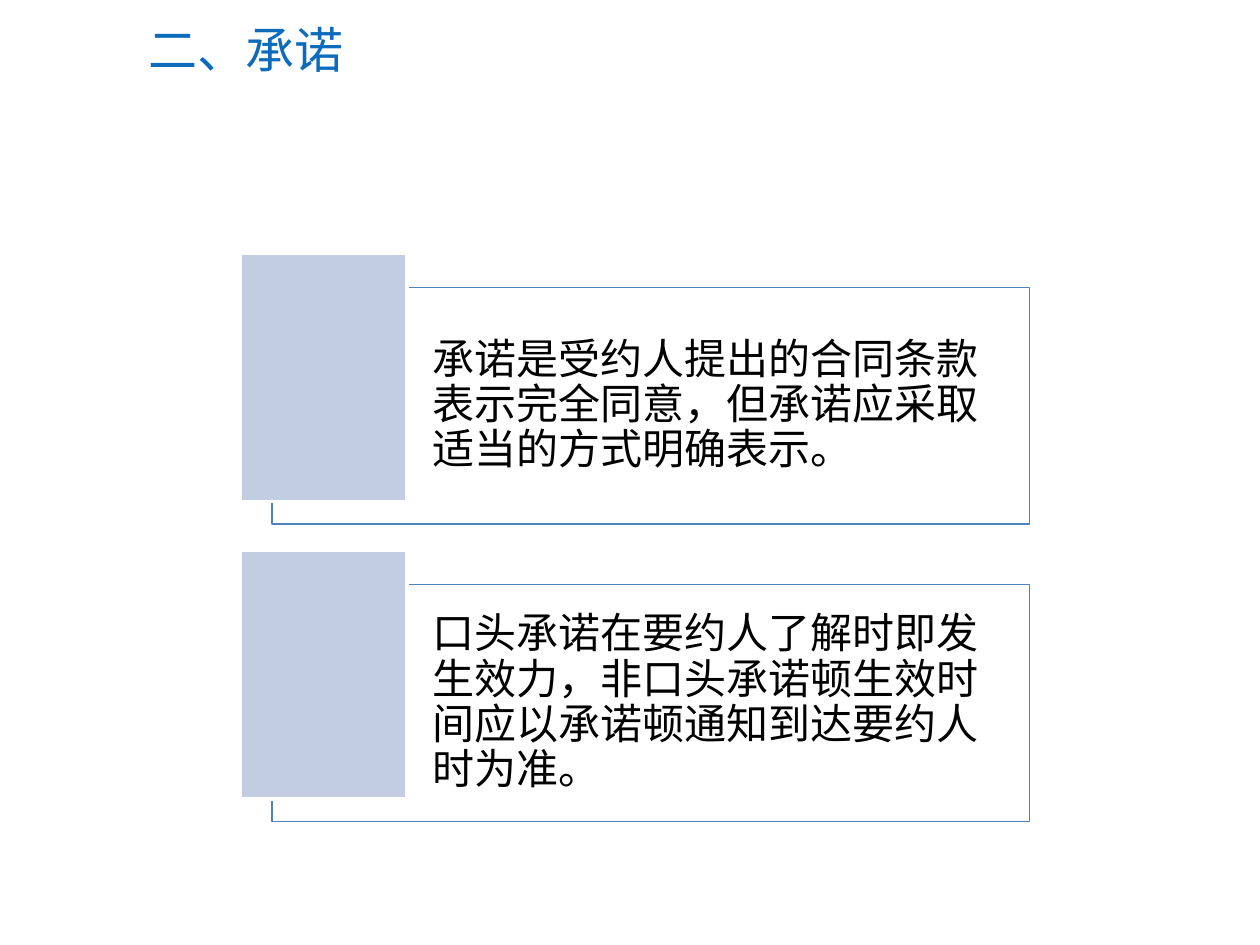
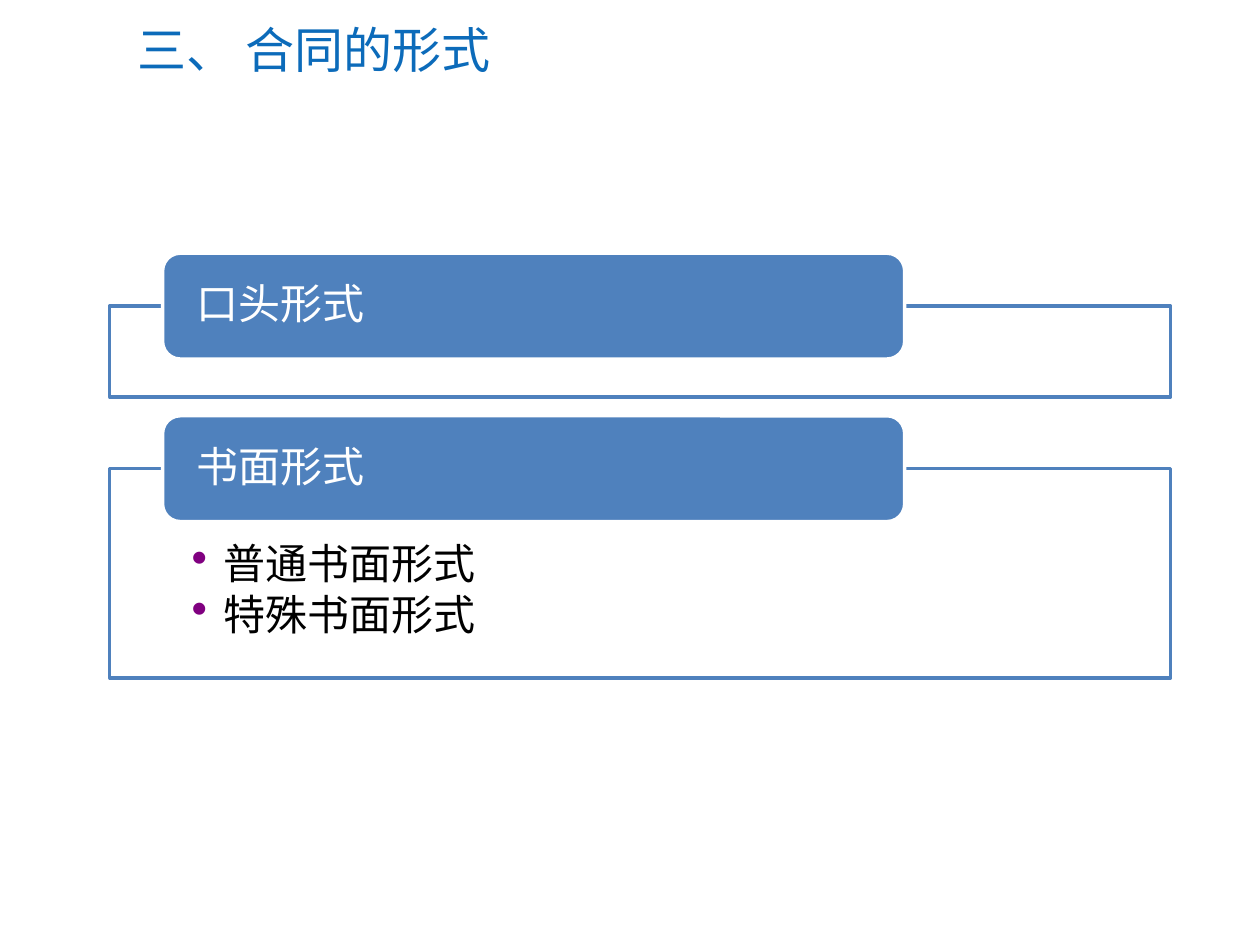
from lxml.etree import SubElement
from pptx import Presentation
from pptx.dml.color import RGBColor
from pptx.enum.shapes import MSO_SHAPE as Shape
from pptx.enum.text import MSO_ANCHOR as Anchor, PP_ALIGN as Align
from pptx.oxml.ns import qn
from pptx.util import Inches, Pt

ACCEPTANCE_TITLE = " 二、承诺"
ACCEPTANCE_RULES = [
    "承诺是受约人提出的合同条款表示完全同意，但承诺应采取适当的方式明确表示。",
    "口头承诺在要约人了解时即发生效力，非口头承诺顿生效时间应以承诺顿通知到达要约人时为准。",
]
FORMS_TITLE = "三、 合同的形式"
CONTRACT_FORMS = [
    ("口头形式", []),
    ("书面形式", ["普通书面形式", "特殊书面形式"]),
]

FONT = "Calibri"
TITLE_BLUE = RGBColor(0x0C, 0x6B, 0xBA)
BLUE = RGBColor(0x4F, 0x81, 0xBD)
PALE_BLUE = RGBColor(0xC2, 0xCD, 0xE1)
PURPLE = RGBColor(0x80, 0x00, 0x80)
WHITE = RGBColor(0xFF, 0xFF, 0xFF)
BLACK = RGBColor(0x00, 0x00, 0x00)

CONTENT_TOP = 2.01
RULE_PITCH = 2.36
RULE_BOX_DROP = 0.27
HEADER_HEIGHT = 0.84
FORM_BOX_DROP = 0.42
FORM_GAP = 0.15
EMPTY_FORM_HEIGHT = 0.72
LISTED_FORM_HEIGHT = 1.66


def add_box(slide, kind, left, top, width, height, fill, line, line_width):
    shape = slide.shapes.add_shape(
        kind, Inches(left), Inches(top), Inches(width), Inches(height))
    shape.shadow.inherit = False
    shape.fill.solid()
    shape.fill.fore_color.rgb = fill
    shape.line.color.rgb = line
    shape.line.width = Pt(line_width)
    return shape


def write(shape, lines, size, color, insets, anchor=Anchor.MIDDLE,
          line_spacing=0.9, space_after=8.4):
    frame = shape.text_frame
    frame.word_wrap = True
    frame.vertical_anchor = anchor
    (frame.margin_left, frame.margin_top,
     frame.margin_right, frame.margin_bottom) = map(Inches, insets)
    frame.text = "\n".join(lines)
    for paragraph in frame.paragraphs:
        paragraph.alignment = Align.LEFT
        paragraph.line_spacing = line_spacing
        paragraph.space_after = Pt(space_after)
        for run in paragraph.runs:
            run.font.name = FONT
            run.font.size = Pt(size)
            run.font.color.rgb = color


def add_bullet(paragraph):
    properties = paragraph._p.get_or_add_pPr()
    properties.set("marL", str(Inches(0.25)))
    properties.set("indent", str(-Inches(0.25)))
    color = SubElement(properties, qn("a:buClr"))
    SubElement(color, qn("a:srgbClr"), val=str(PURPLE))
    SubElement(properties, qn("a:buSzPct"), val="110000")
    SubElement(properties, qn("a:buChar"), char="•")


def add_titled_slide(presentation, title):
    slide = presentation.slides.add_slide(presentation.slide_layouts[6])
    title_box = slide.shapes.add_textbox(
        Inches(0.99), Inches(0.1), Inches(8.72), Inches(0.58))
    write(title_box, [title], 28, TITLE_BLUE, (0.1, 0.05, 0.1, 0.05),
          line_spacing=1, space_after=0)
    return slide


def add_acceptance_slide(presentation):
    slide = add_titled_slide(presentation, ACCEPTANCE_TITLE)
    for index, rule in enumerate(ACCEPTANCE_RULES):
        top = CONTENT_TOP + index * RULE_PITCH
        box = add_box(slide, Shape.RECTANGLE, 2.16, top + RULE_BOX_DROP,
                      6.01, 1.88, WHITE, BLUE, 0.75)
        write(box, [rule], 24, BLACK, (1.27, 0.1, 0.1, 0.1))
        add_box(slide, Shape.RECTANGLE, 1.91, top, 1.32, 1.97,
                PALE_BLUE, WHITE, 2)


def add_forms_slide(presentation):
    slide = add_titled_slide(presentation, FORMS_TITLE)
    top = CONTENT_TOP
    for name, kinds in CONTRACT_FORMS:
        height = LISTED_FORM_HEIGHT if kinds else EMPTY_FORM_HEIGHT
        box = add_box(slide, Shape.RECTANGLE, 0.87, top + FORM_BOX_DROP,
                      8.42, height, WHITE, BLUE, 2)
        if kinds:
            write(box, kinds, 24, BLACK, (0.65, 0.59, 0.65, 0.19),
                  Anchor.TOP, space_after=3.6)
            for paragraph in box.text_frame.paragraphs:
                add_bullet(paragraph)
        header = add_box(slide, Shape.ROUNDED_RECTANGLE, 1.29, top,
                         5.89, HEADER_HEIGHT, BLUE, WHITE, 2)
        write(header, [name], 24, WHITE, (0.23, 0, 0.23, 0))
        top += FORM_BOX_DROP + height + FORM_GAP


def main():
    presentation = Presentation()
    presentation.slide_width = Inches(10)
    presentation.slide_height = Inches(7.5)
    add_acceptance_slide(presentation)
    add_forms_slide(presentation)
    presentation.save("out.pptx")


if __name__ == "__main__":
    main()
